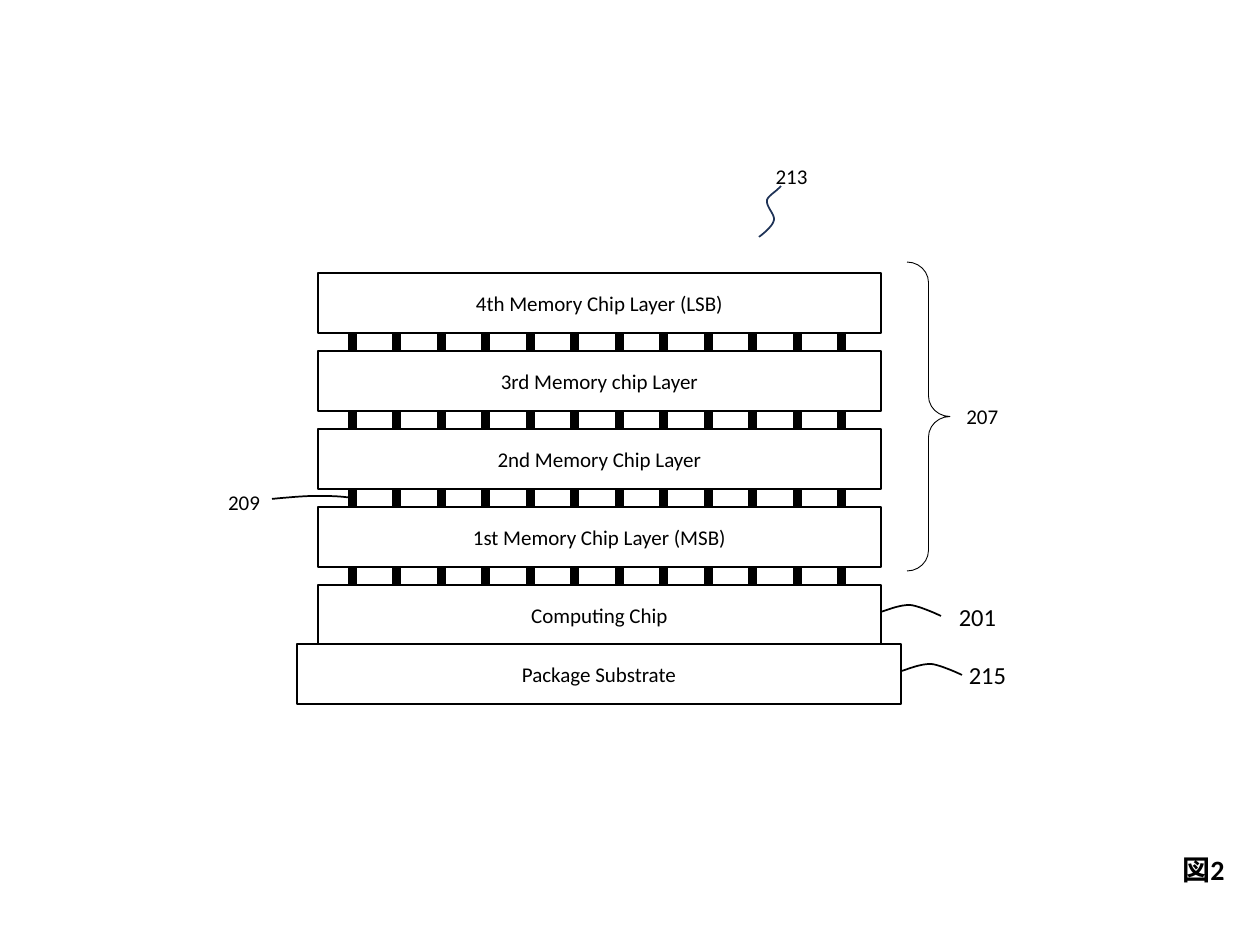
from dataclasses import dataclass

from pptx import Presentation
from pptx.dml.color import RGBColor
from pptx.enum.shapes import MSO_SHAPE
from pptx.enum.text import MSO_ANCHOR, MSO_AUTO_SIZE, PP_ALIGN
from pptx.util import Pt

RECTANGLE, BRACE = MSO_SHAPE.RECTANGLE, MSO_SHAPE.RIGHT_BRACE
LEFT, CENTER, RIGHT = PP_ALIGN.LEFT, PP_ALIGN.CENTER, PP_ALIGN.RIGHT
TOP, MIDDLE = MSO_ANCHOR.TOP, MSO_ANCHOR.MIDDLE
NO_FIT, GROW = MSO_AUTO_SIZE.NONE, MSO_AUTO_SIZE.SHAPE_TO_FIT_TEXT
TITLE_ONLY = 5
PX_PER_INCH = 126
CURVE_STEPS = 12


@dataclass(frozen=True)
class Theme:
    """Colours, font and type sizes of the figure."""

    ink: RGBColor = RGBColor(0, 0, 0)
    paper: RGBColor = RGBColor(255, 255, 255)
    accent: RGBColor = RGBColor(0x1E, 0x32, 0x56)
    font: str = "Calibri"
    label: int = 12
    large: int = 14
    title: int = 16


THEME = Theme()

LAYERS = [
    "4th Memory Chip Layer (LSB)",
    "3rd Memory chip Layer",
    "2nd Memory Chip Layer",
    "1st Memory Chip Layer (MSB)",
    "Computing Chip",
]
LAYER_LEFT, LAYER_TOP, LAYER_WIDTH, LAYER_HEIGHT, LAYER_PITCH = 318, 273, 563, 60, 78
VIA_COUNT, VIA_LEFT, VIA_SPAN = 12, 350, 489

LABELS = [
    ("213", (750, 157, 83, 38), THEME.label, CENTER, True),
    ("207", (954, 397, 67, 38), THEME.label, LEFT, True),
    ("201", (946, 596, 63, 43), THEME.large, CENTER, False),
    ("215", (956, 654, 63, 43), THEME.large, CENTER, False),
    ("209", (215, 483, 58, 38), THEME.label, CENTER, False),
]

SQUIGGLE = [(781, 186), (776, 192), (769, 195), (767, 200), (766, 207),
            (775, 214), (774, 220), (773, 227), (759, 237), (759, 237)]
CHIP_LEADER = [(881, 612), (890, 609), (900, 605), (910, 605),
               (920, 606), (941, 616), (941, 616)]
SUBSTRATE_LEADER = [(x + 21, y + 59) for x, y in CHIP_LEADER]
VIA_LEADER = [(352, 498), (339, 496), (328, 496), (314, 496),
              (301, 496), (272, 499), (272, 499)]


def px(length):
    """Turn pixels into EMU."""
    return round(length * 914400 / PX_PER_INCH)


def apply_format(target, values):
    """Set each named attribute on the target."""
    for name, value in values.items():
        setattr(target, name, value)


def write_text(box, text, size, align=CENTER, anchor=MIDDLE, wrap=True, fit=NO_FIT, bold=False):
    """Put one formatted line of text in a box."""
    frame = box.text_frame
    apply_format(frame, {"word_wrap": wrap, "auto_size": fit, "vertical_anchor": anchor})
    para = frame.paragraphs[0]
    para.alignment = align
    span = para.add_run()
    span.text = text
    apply_format(span.font, {"name": THEME.font, "size": Pt(size), "bold": bold})
    span.font.color.rgb = THEME.ink


def style_shape(shape, fill, line, weight):
    """Give a shape its fill and outline, without a shadow."""
    shape.shadow.inherit = False
    if fill is None:
        shape.fill.background()
    else:
        shape.fill.solid()
        shape.fill.fore_color.rgb = fill
    shape.line.color.rgb = line
    shape.line.width = Pt(weight)


def add_shape(page, kind, place, fill, weight):
    """Add a preset shape outlined in ink."""
    shape = page.shapes.add_shape(kind, *map(px, place))
    style_shape(shape, fill, THEME.ink, weight)
    return shape


def add_block(page, text, place):
    """Add a labelled block of the stack."""
    write_text(add_shape(page, RECTANGLE, place, THEME.paper, 1.5), text, THEME.label)


def add_vias(page):
    """Add the evenly spaced vias running behind the layers."""
    for index in range(VIA_COUNT):
        left = VIA_LEFT + round(index * VIA_SPAN / (VIA_COUNT - 1))
        add_shape(page, RECTANGLE, (left, 334, 5, 253), THEME.ink, 2.25)


def add_label(page, text, place, size, align, wrap):
    """Add a reference number."""
    box = page.shapes.add_textbox(*map(px, place))
    write_text(box, text, size, align, TOP, wrap, GROW)


def bezier_point(controls, t):
    """Return the point at t on a cubic curve, in EMU."""
    weights = ((1 - t) ** 3, 3 * t * (1 - t) ** 2, 3 * t * t * (1 - t), t ** 3)
    return tuple(px(sum(w * c for w, c in zip(weights, axis))) for axis in zip(*controls))


def add_curve(page, controls, color):
    """Add an open line through joined cubic curves."""
    points = [
        bezier_point(controls[start:start + 4], step / CURVE_STEPS)
        for start in range(0, len(controls) - 1, 3)
        for step in range(1, CURVE_STEPS + 1)
    ]
    builder = page.shapes.build_freeform(*map(px, controls[0]))
    builder.add_line_segments(points, close=False)
    style_shape(builder.convert_to_shape(), None, color, 1)


def add_title(page, text, place):
    """Move the title placeholder and write the figure number."""
    title = page.shapes.title
    apply_format(title, dict(zip(("left", "top", "width", "height"), map(px, place))))
    write_text(title, text, THEME.title, RIGHT, bold=True)


def main():
    """Build the chip stack figure."""
    deck = Presentation()
    apply_format(deck, {"slide_width": px(1260), "slide_height": px(945)})
    page = deck.slides.add_slide(deck.slide_layouts[TITLE_ONLY])
    add_title(page, "図2", (1158, 838, 79, 63))
    add_vias(page)
    for index, text in reversed(list(enumerate(LAYERS))):
        top = LAYER_TOP + index * LAYER_PITCH
        add_block(page, text, (LAYER_LEFT, top, LAYER_WIDTH, LAYER_HEIGHT))
    add_block(page, "Package Substrate", (297, 644, 604, LAYER_HEIGHT))
    brace = add_shape(page, BRACE, (907, 262, 43, 309), None, 0.5)
    brace.adjustments[0] = 0.48
    for label in LABELS:
        add_label(page, *label)
    add_curve(page, SQUIGGLE, THEME.accent)
    for leader in (CHIP_LEADER, SUBSTRATE_LEADER, VIA_LEADER):
        add_curve(page, leader, THEME.ink)
    deck.save("out.pptx")


if __name__ == "__main__":
    main()
